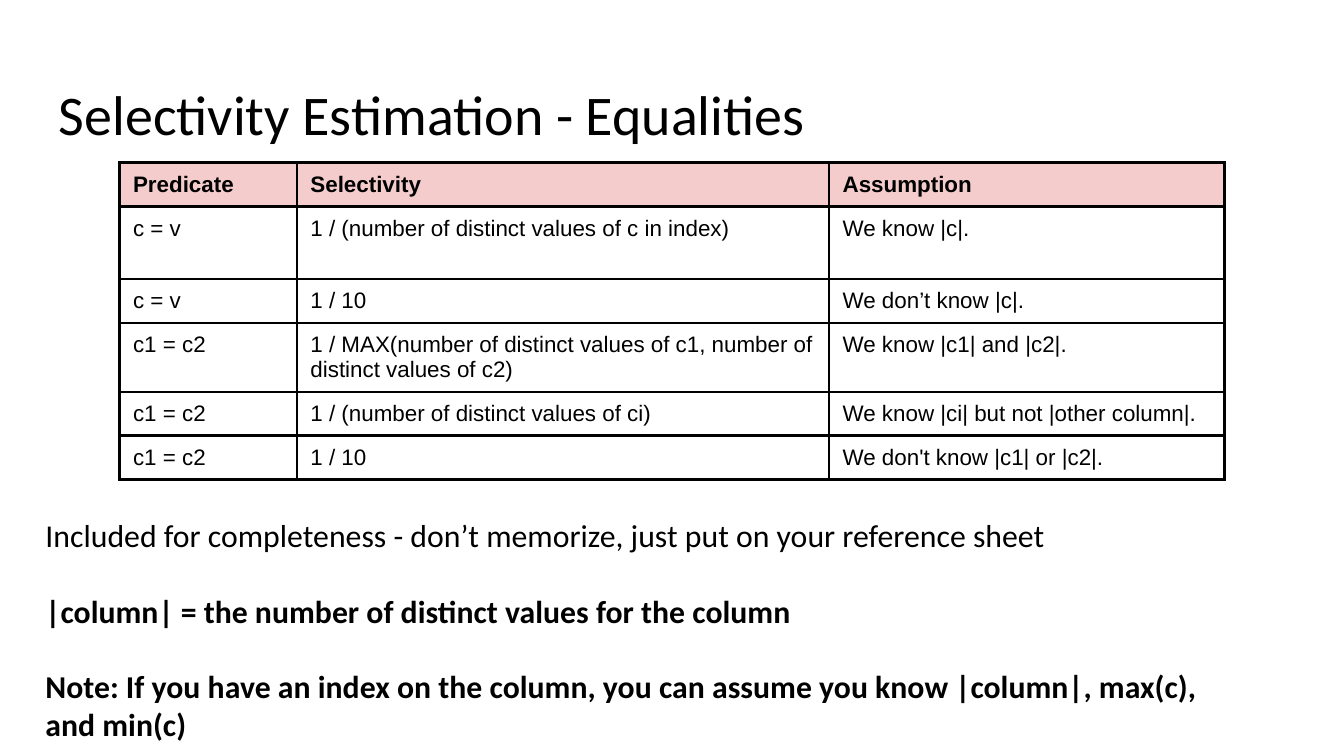
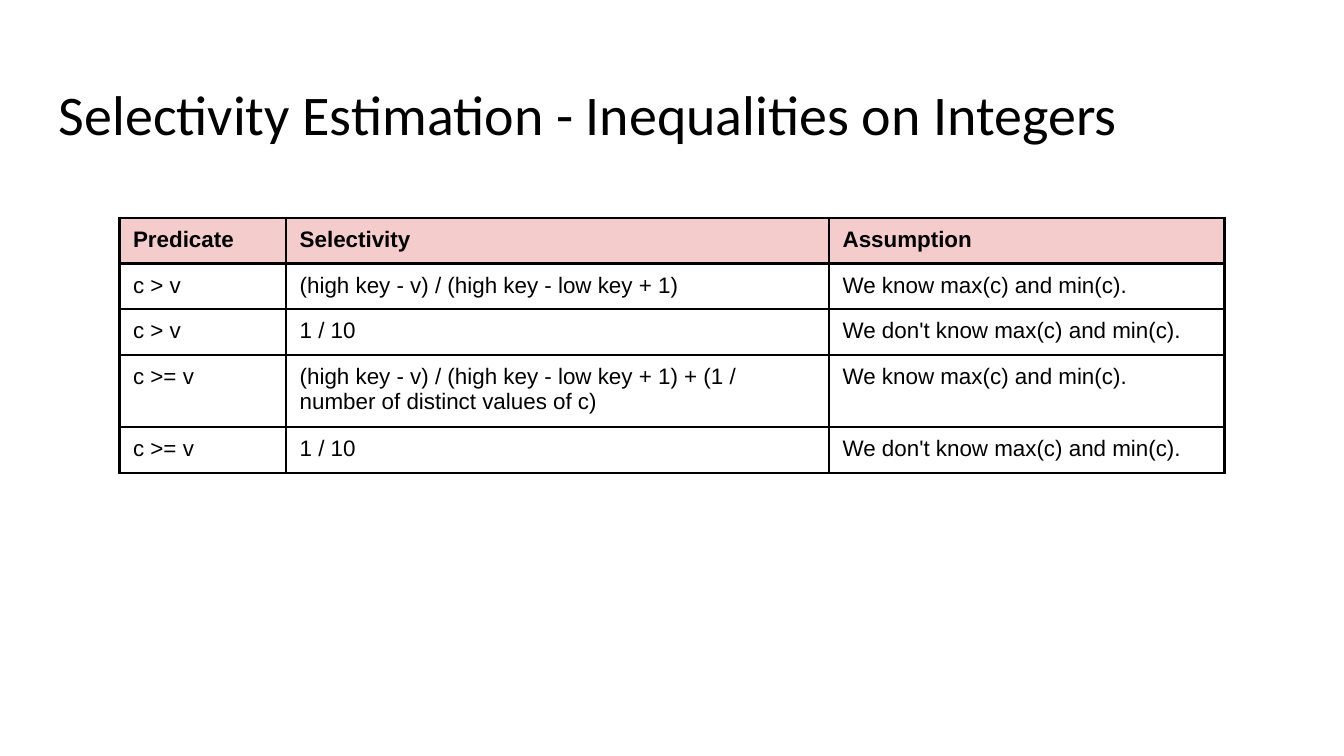
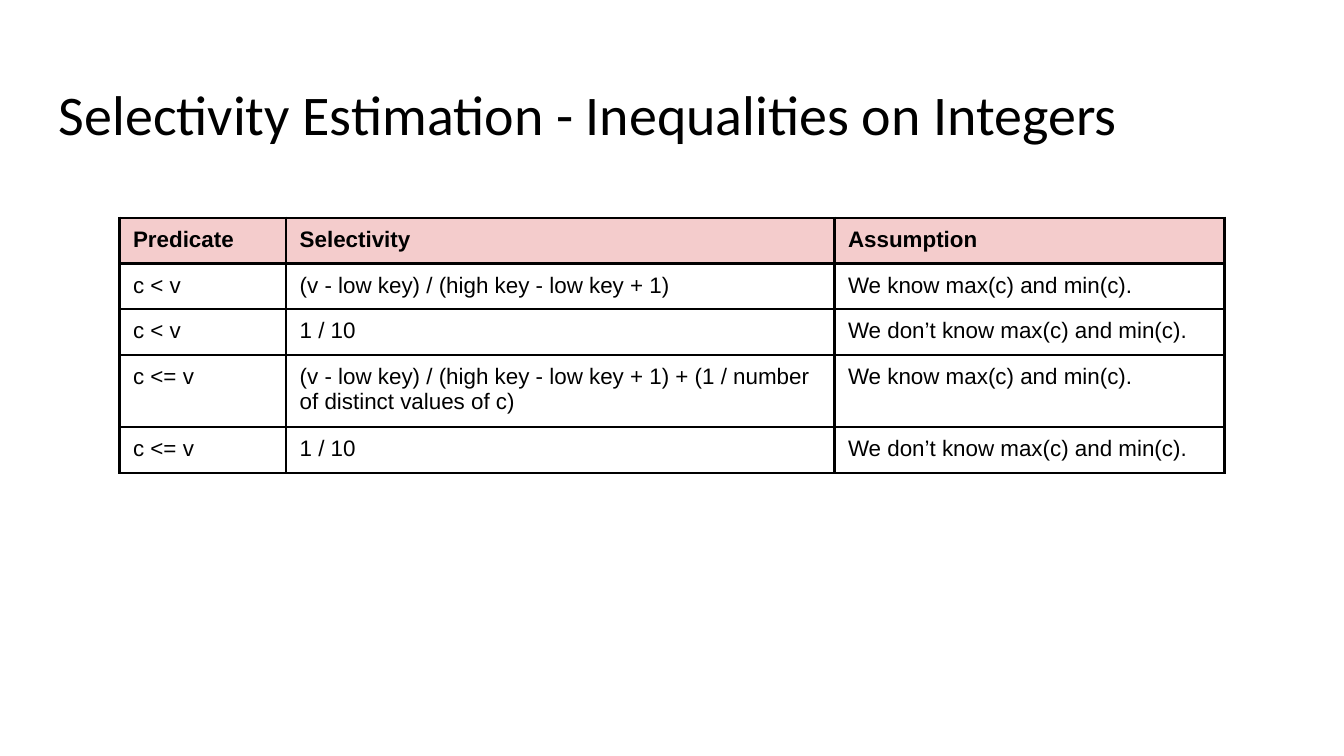
"""Build three slides of selectivity estimation tables."""
from lxml.etree import SubElement
from pptx import Presentation
from pptx.dml.color import RGBColor
from pptx.enum.text import MSO_ANCHOR
from pptx.oxml.ns import qn
from pptx.util import Inches, Pt

BLACK = RGBColor(0x00, 0x00, 0x00)
PINK = RGBColor(0xF4, 0xCC, 0xCC)
TEXT_FONT, TABLE_FONT = "Calibri", "Arial"

HEADER = ("Predicate", "Selectivity", "Assumption")
ROW_H = 0.31
TABLE_LEFT = 0.89
FRAME_SIDE = 3.28
BORDER_PT = 1.5

SLIDES = [
    {
        "title": "Selectivity Estimation - Equalities",
        "top": 1.21,
        "cols": (1.32, 3.96, 2.94),
        "tall_rows": {1: 0.54},
        "rows": [
            ("c = v", "1 / (number of distinct values of c in index)", "We know |c|."),
            ("c = v", "1 / 10", "We don’t know |c|."),
            ("c1 = c2",
             "1 / MAX(number of distinct values of c1, number of distinct values of c2)",
             "We know |c1| and |c2|."),
            ("c1 = c2", "1 / (number of distinct values of ci)",
             "We know |ci| but not |other column|."),
            ("c1 = c2", "1 / 10", "We don't know |c1| or |c2|."),
        ],
        "notes": [
            ("Included for completeness - don’t memorize, just put on your reference sheet", False),
            ("|column| = the number of distinct values for the column", True),
            ("Note: If you have an index on the column, you can assume you know "
             "|column|, max(c), and min(c)", True),
        ],
    },
    {
        "title": "Selectivity Estimation - Inequalities on Integers",
        "top": 1.62,
        "cols": (1.24, 4.04, 2.94),
        "rows": [
            ("c > v", "(high key - v) / (high key - low key + 1)", "We know max(c) and min(c)."),
            ("c > v", "1 / 10", "We don't know max(c) and min(c)."),
            ("c >= v",
             "(high key - v) / (high key - low key + 1) + (1 / number of distinct values of c)",
             "We know max(c) and min(c)."),
            ("c >= v", "1 / 10", "We don't know max(c) and min(c)."),
        ],
    },
    {
        "title": "Selectivity Estimation - Inequalities on Integers",
        "top": 1.62,
        "cols": (1.24, 4.08, 2.9),
        "rows": [
            ("c < v", "(v - low key) / (high key - low key + 1)", "We know max(c) and min(c)."),
            ("c < v", "1 / 10", "We don’t know max(c) and min(c)."),
            ("c <= v",
             "(v - low key) / (high key - low key + 1) + (1 / number of distinct values of c)",
             "We know max(c) and min(c)."),
            ("c <= v", "1 / 10", "We don’t know max(c) and min(c)."),
        ],
    },
]


def set_font(p, name, size, bold=False):
    p.font.name, p.font.size, p.font.bold = name, Pt(size), bold
    p.font.color.rgb = BLACK


def add_text(slide, box, paragraphs, size, gap=0):
    tf = slide.shapes.add_textbox(*map(Inches, box)).text_frame
    tf.word_wrap = True
    tf.vertical_anchor = MSO_ANCHOR.TOP
    tf.margin_left = tf.margin_right = tf.margin_top = tf.margin_bottom = Inches(0.1)
    for i, (text, bold) in enumerate(paragraphs):
        p = tf.add_paragraph() if i else tf.paragraphs[0]
        p.text = text
        p.space_before = Pt(gap if i else 0)
        set_font(p, TEXT_FONT, size, bold)


def add_borders(cell):
    tc_pr = cell._tc.get_or_add_tcPr()
    for side in ("a:lnL", "a:lnR", "a:lnT", "a:lnB"):
        ln = SubElement(tc_pr, qn(side), w=str(Pt(BORDER_PT)))
        SubElement(SubElement(ln, qn("a:solidFill")), qn("a:srgbClr"), val=str(BLACK))


def fill_cell(cell, text, is_header):
    cell.text = text
    cell.margin_left = cell.margin_right = Inches(0.1)
    cell.margin_top = cell.margin_bottom = Inches(0.07)
    set_font(cell.text_frame.paragraphs[0], TABLE_FONT, 12, is_header)
    add_borders(cell)
    if is_header:
        cell.fill.solid()
        cell.fill.fore_color.rgb = PINK
    else:
        cell.fill.background()


def add_grid(slide, top, cols, body, tall_rows):
    rows = [HEADER, *body]
    box = (TABLE_LEFT, top, FRAME_SIDE, FRAME_SIDE)
    sp = slide.shapes.add_table(len(rows), len(cols), *map(Inches, box))
    table = sp.table
    table.horz_banding = False
    for column, width in zip(table.columns, cols):
        column.width = Inches(width)
    for r, row in enumerate(rows):
        table.rows[r].height = Inches(tall_rows.get(r, ROW_H))
        for c, text in enumerate(row):
            fill_cell(table.cell(r, c), text, r == 0)
    sp.width = sp.height = Inches(FRAME_SIDE)


def main():
    prs = Presentation()
    prs.slide_width = Inches(10)
    prs.slide_height = prs.slide_width * 9 // 16
    for content in SLIDES:
        slide = prs.slides.add_slide(prs.slide_layouts[6])
        add_grid(slide, content["top"], content["cols"], content["rows"],
                 content.get("tall_rows", {}))
        if "notes" in content:
            add_text(slide, (0.24, 3.74, 9.13, 0.98), content["notes"], 17, gap=20)
        add_text(slide, (0.34, 0.49, 9.32, 0.63), [(content["title"], False)], 30)
    prs.save("out.pptx")


if __name__ == "__main__":
    main()
